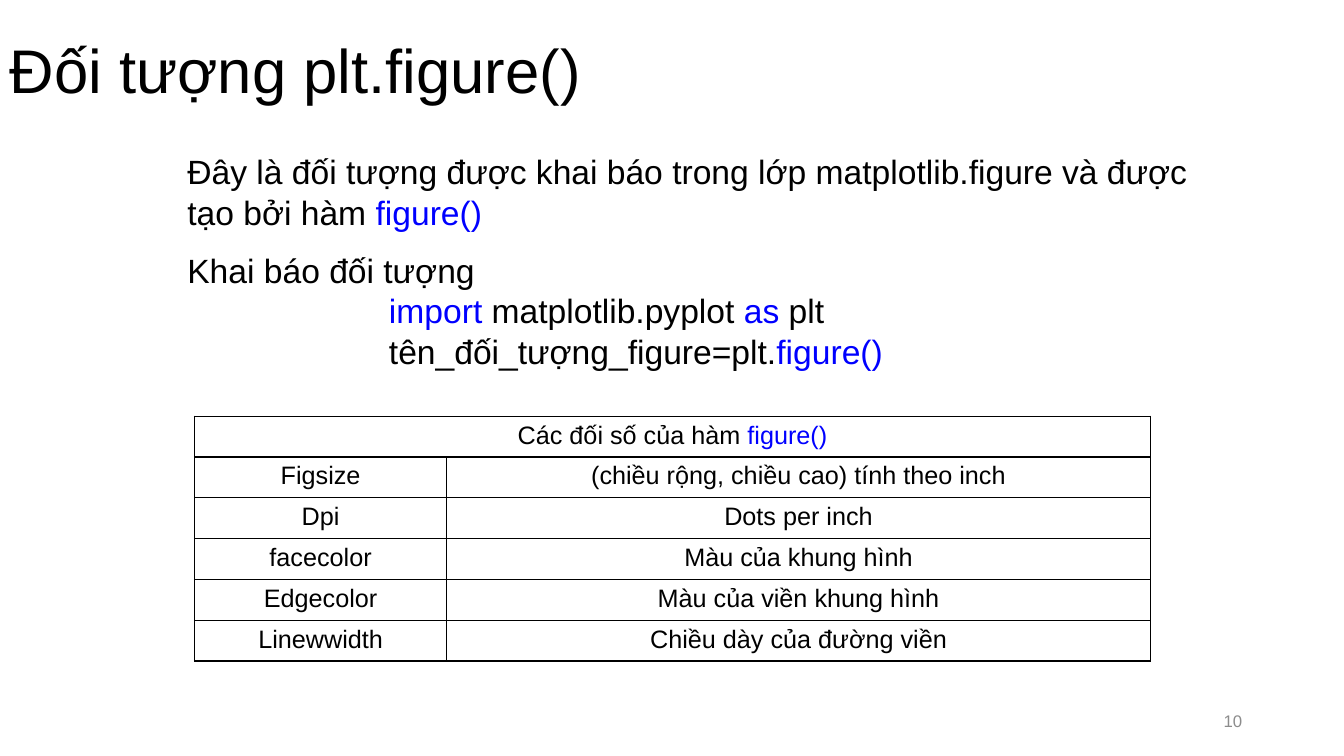
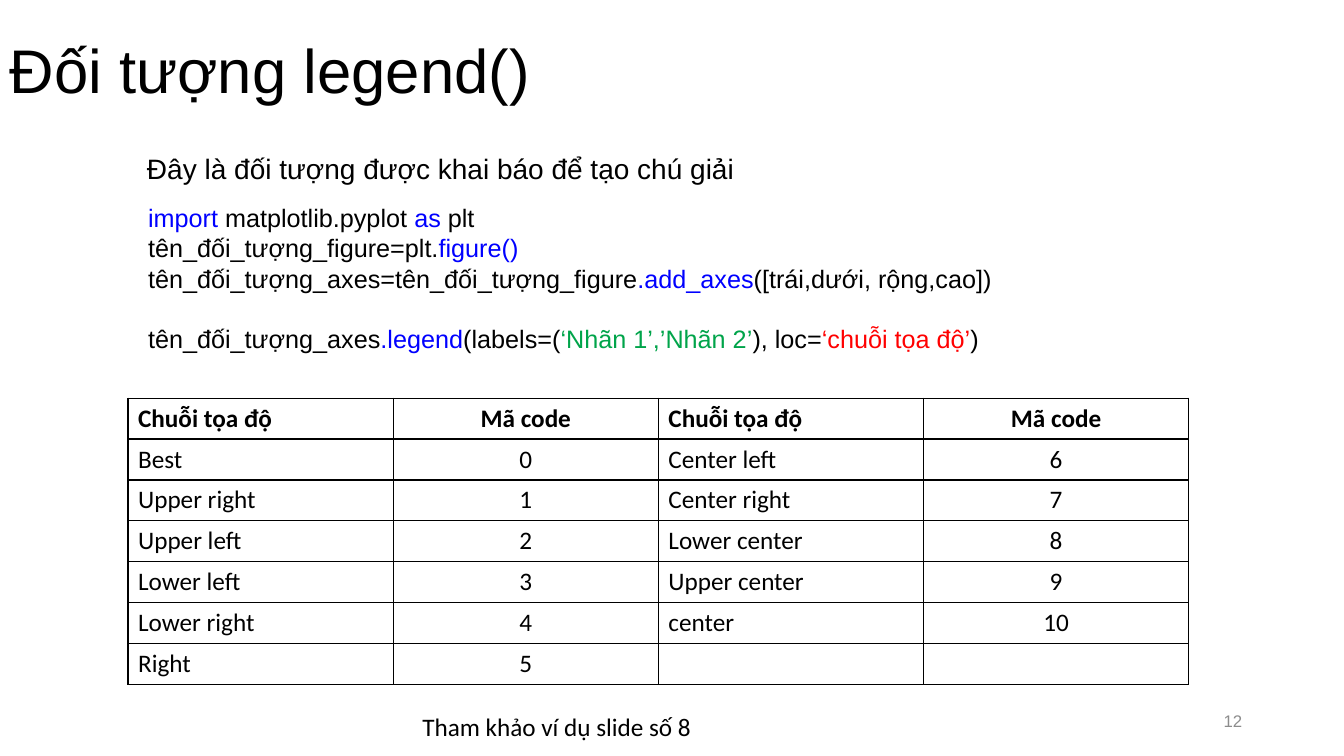
from dataclasses import dataclass

from lxml.etree import SubElement
from pptx import Presentation
from pptx.dml.color import RGBColor as Rgb
from pptx.enum.text import MSO_ANCHOR as Anchor, PP_ALIGN as Align
from pptx.oxml.ns import qn
from pptx.util import Inches, Pt


@dataclass(frozen=True)
class Theme:
    ink: str = "000000"
    paper: str = "FFFFFF"
    keyword: str = "0000FF"
    label: str = "00A44A"
    position: str = "FF0000"
    muted: str = "8C8C8C"
    sans: str = "Arial"
    plain: str = "Calibri"
    title: int = 44
    lead: int = 24
    intro: int = 20
    body: int = 18
    footer: int = 12
    border: float = 1


THEME = Theme()


def keyword(text):
    return text, THEME.keyword


def fill_paragraph(paragraph, pieces, size, font=THEME.sans, align=Align.LEFT, bold=False):
    paragraph.alignment = align
    for piece in [pieces] if isinstance(pieces, str) else pieces:
        text, color = (piece, THEME.ink) if isinstance(piece, str) else piece
        run = paragraph.add_run()
        run.text = text
        run.font.size = Pt(size)
        run.font.name = font
        run.font.bold = bold
        run.font.color.rgb = Rgb.from_string(color)


def add_text(slide, box, lines, size, anchor=Anchor.TOP, **style):
    frame = slide.shapes.add_textbox(*map(Inches, box)).text_frame
    frame.word_wrap = True
    frame.vertical_anchor = anchor
    for index, pieces in enumerate(lines):
        paragraph = frame.add_paragraph() if index else frame.paragraphs[0]
        fill_paragraph(paragraph, pieces, size, **style)
    return frame


def style_cell(cell):
    properties = cell._tc.get_or_add_tcPr()
    for side in ("a:lnL", "a:lnR", "a:lnT", "a:lnB"):
        line = SubElement(properties, qn(side), w=str(Pt(THEME.border)))
        SubElement(SubElement(line, qn("a:solidFill")), qn("a:srgbClr"), val=THEME.ink)
    cell.fill.solid()
    cell.fill.fore_color.rgb = Rgb.from_string(THEME.paper)


def add_grid(slide, box, widths, rows, aligns, font, bold_header=False):
    table = slide.shapes.add_table(len(rows), len(widths), *map(Inches, box)).table
    table.first_row = table.horz_banding = False
    for column, width in zip(table.columns, widths):
        column.width = Inches(width)
    for row_index, row in enumerate(rows):
        for column_index, pieces in enumerate(row):
            cell = table.cell(row_index, column_index)
            style_cell(cell)
            if pieces:
                fill_paragraph(cell.text_frame.paragraphs[0], pieces, THEME.body, font,
                               aligns[column_index], bold_header and row_index == 0)
    return table


def add_page(deck, title, number):
    slide = deck.slides.add_slide(deck.slide_layouts[6])
    heading = add_text(slide, (0, 0, 13.33, 1.45), [title], THEME.title, Anchor.MIDDLE)
    heading.paragraphs[0].line_spacing = 0.9
    add_text(slide, (9.42, 6.95, 3, 0.4), [[(number, THEME.muted)]], THEME.footer,
             Anchor.MIDDLE, align=Align.RIGHT)
    return slide


def build_figure_page(deck):
    slide = add_page(deck, "Đối tượng plt.figure()", "10")
    add_text(slide, (1.76, 1.45, 10.26, 0.91), [
        ["Đây là đối tượng được khai báo trong lớp matplotlib.figure và được tạo bởi hàm ",
         keyword("figure()")],
    ], THEME.lead)
    add_text(slide, (1.76, 2.43, 10.26, 0.5), ["Khai báo đối tượng"], THEME.lead)
    add_text(slide, (3.76, 2.83, 8.26, 0.91), [
        [keyword("import"), " matplotlib.pyplot ", keyword("as"), " plt"],
        ["tên_đối_tượng_figure=plt.", keyword("figure()")],
    ], THEME.lead)
    arguments = [
        (["Các đối số của hàm ", keyword("figure()")], ""),
        ("Figsize", "(chiều rộng, chiều cao) tính theo inch"),
        ("Dpi", "Dots per inch"),
        ("facecolor", "Màu của khung hình"),
        ("Edgecolor", "Màu của viền khung hình"),
        ("Linewwidth", "Chiều dày của đường viền"),
    ]
    table = add_grid(slide, (1.93, 4.13, 9.48, 2.43), (2.5, 6.98), arguments,
                     [Align.CENTER] * 2, THEME.sans)
    table.cell(0, 0).merge(table.cell(0, 1))


def build_legend_page(deck):
    slide = add_page(deck, "Đối tượng legend()", "12")
    add_text(slide, (1.36, 1.45, 10.67, 0.44),
             ["Đây là đối tượng được khai báo để tạo chú giải"], THEME.intro)
    code = add_text(slide, (1.37, 1.96, 11.05, 1.62), [
        [keyword("import "), "matplotlib.pyplot ", keyword("as "), "plt"],
        ["tên_đối_tượng_figure=plt.", keyword("figure()")],
        ["tên_đối_tượng_axes=tên_đối_tượng_figure", keyword(".add_axes"),
         "([trái,dưới, rộng,cao])"],
        ["tên_đối_tượng_axes", keyword(".legend"), "(labels=(",
         ("‘Nhãn 1’,’Nhãn 2’", THEME.label), "), loc=",
         ("‘chuỗi tọa độ’", THEME.position), ")"],
    ], THEME.body)
    code.paragraphs[-1].space_before = Pt(21.5)
    left_names = ["Best", "Upper right", "Upper left", "Lower left", "Lower right", "Right"]
    right_names = ["Center left", "Center right", "Lower center", "Upper center", "center"]
    names = left_names + right_names
    half = len(left_names)
    locations = [(name, str(number)) for number, name in enumerate(names)] + [("", "")]
    rows = [("Chuỗi tọa độ", "Mã code") * 2]
    rows += [left + right for left, right in zip(locations[:half], locations[half:])]
    add_grid(slide, (1.27, 3.95, 10.51, 2.84), [2.63] * 4, rows,
             [Align.LEFT, Align.CENTER] * 2, THEME.plain, bold_header=True)
    add_text(slide, (4.09, 7.01, 6.83, 0.4), ["Tham khảo ví dụ slide số 8"],
             THEME.body, font=THEME.plain)


def main():
    deck = Presentation()
    deck.slide_width, deck.slide_height = Inches(13.33), Inches(7.5)
    build_figure_page(deck)
    build_legend_page(deck)
    deck.save("out.pptx")


if __name__ == "__main__":
    main()
